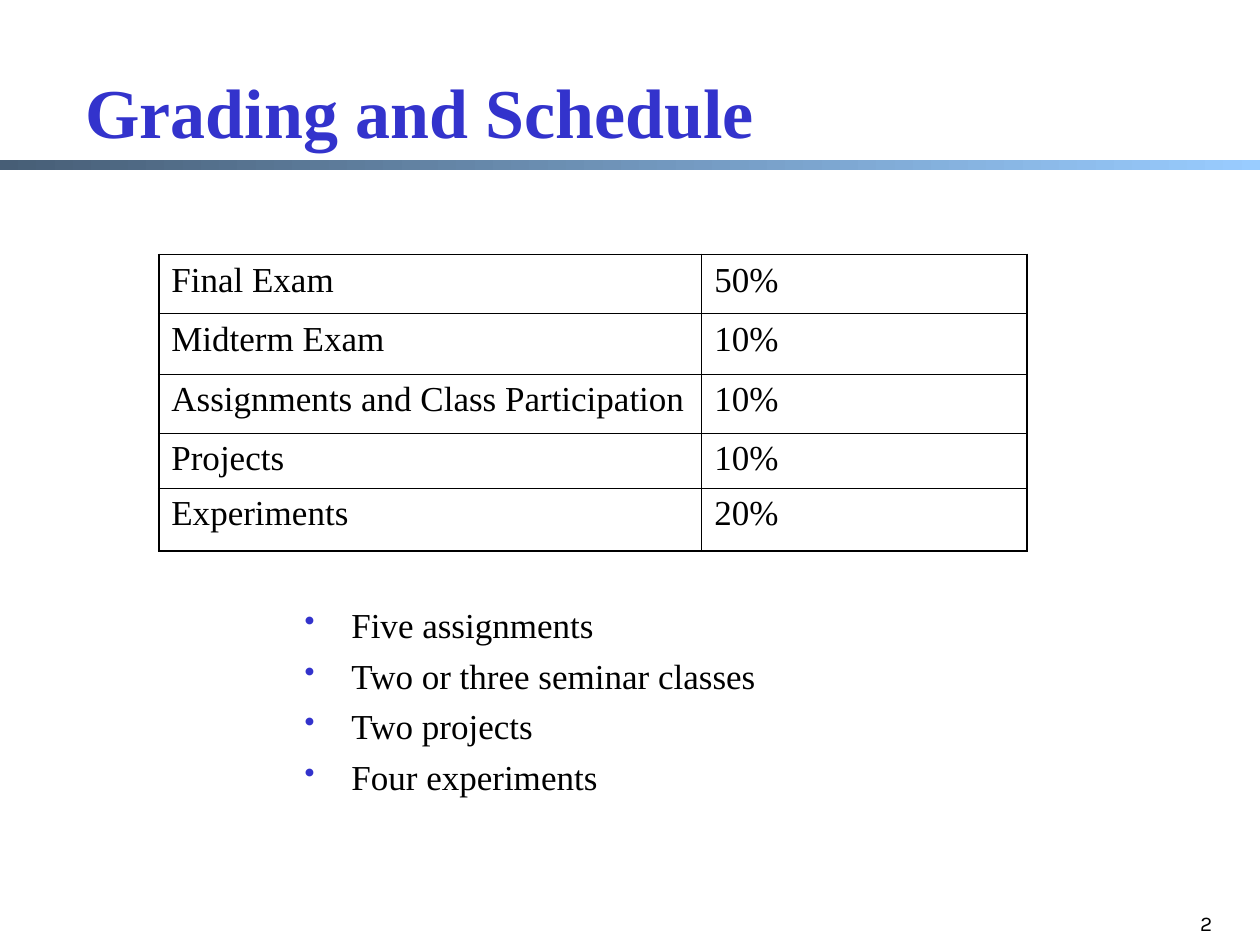
"""Build the grading and schedule slide."""
from lxml import etree
from pptx import Presentation
from pptx.dml.color import RGBColor
from pptx.enum.shapes import MSO_SHAPE
from pptx.enum.text import MSO_ANCHOR, PP_ALIGN
from pptx.oxml.ns import qn
from pptx.util import Inches, Pt

RECTANGLE = MSO_SHAPE.RECTANGLE
MIDDLE, TOP = MSO_ANCHOR.MIDDLE, MSO_ANCHOR.TOP
LEFT, RIGHT = PP_ALIGN.LEFT, PP_ALIGN.RIGHT

TITLE = "Grading and Schedule"
GRADING = [
    ("Final Exam", "50%"),
    ("Midterm Exam", "10%"),
    ("Assignments and Class Participation", "10%"),
    ("Projects", "10%"),
    ("Experiments", "20%"),
]
SCHEDULE = [
    "Five assignments",
    "Two or three seminar classes",
    "Two projects",
    "Four experiments",
]
PAGE_NUMBER = "2"

COLORS = {"accent": "3333CC", "text": "000000", "bar_start": "475E76", "bar_end": "99CCFF"}
SERIF, SANS = "Times New Roman", "Karla"
WIDTH, HEIGHT = 10, 7.5
COLUMN_WIDTHS = [4.31, 2.58]
ROW_HEIGHTS = [0.47, 0.48, 0.47, 0.43, 0.5]
OUTER_LINE, INNER_LINE = 1.08, 0.45
BODY_SIZE, BODY_GAP, BULLET_INDENT = 20, 5, 0.37


def rgb(name):
    return RGBColor.from_string(COLORS[name])


def style(paragraph, size, font=SERIF, color="text", bold=False, align=LEFT, gap=0):
    paragraph.alignment = align
    paragraph.space_before = Pt(gap)
    for run in paragraph.runs:
        run.font.size, run.font.name, run.font.bold = Pt(size), font, bold
        run.font.color.rgb = rgb(color)


def add_text(slide, box, lines, anchor=TOP, **look):
    frame = slide.shapes.add_textbox(*map(Inches, box)).text_frame
    frame.word_wrap = True
    frame.vertical_anchor = anchor
    frame.text = "\n".join(lines)
    for paragraph in frame.paragraphs:
        style(paragraph, **look)
    return frame


def add_bullet(paragraph):
    props = paragraph._p.get_or_add_pPr()
    props.set("marL", str(Inches(BULLET_INDENT)))
    props.set("indent", str(-Inches(BULLET_INDENT)))
    color = etree.SubElement(props, qn("a:buClr"))
    etree.SubElement(color, qn("a:srgbClr"), val=COLORS["accent"])
    etree.SubElement(props, qn("a:buSzPct"), val="85000")
    etree.SubElement(props, qn("a:buChar"), char="•")


def add_border(cell, side, width):
    line = etree.SubElement(cell._tc.get_or_add_tcPr(), qn(f"a:ln{side}"), w=str(Pt(width)))
    fill = etree.SubElement(line, qn("a:solidFill"))
    etree.SubElement(fill, qn("a:srgbClr"), val=COLORS["text"])


def add_grading(slide, left, top):
    rows, columns = len(ROW_HEIGHTS), len(COLUMN_WIDTHS)
    size = sum(COLUMN_WIDTHS), sum(ROW_HEIGHTS)
    table = slide.shapes.add_table(rows, columns, *map(Inches, (left, top, *size))).table
    table.first_row = table.horz_banding = False
    for column, width in zip(table.columns, COLUMN_WIDTHS):
        column.width = Inches(width)
    for row, height in zip(table.rows, ROW_HEIGHTS):
        row.height = Inches(height)
    for r, entry in enumerate(GRADING):
        for c, value in enumerate(entry):
            cell = table.cell(r, c)
            cell.text = value
            style(cell.text_frame.paragraphs[0], BODY_SIZE, gap=BODY_GAP)
            on_edge = {"L": c == 0, "R": c == columns - 1, "T": r == 0, "B": r == rows - 1}
            for side, outer in on_edge.items():
                add_border(cell, side, OUTER_LINE if outer else INNER_LINE)
            cell.fill.background()


def add_bar(slide, top, height):
    bar = slide.shapes.add_shape(RECTANGLE, 0, Inches(top), Inches(WIDTH), Inches(height))
    bar.shadow.inherit = False
    bar.line.fill.background()
    bar.fill.gradient()
    bar.fill.gradient_angle = 0
    for stop, color in zip(bar.fill.gradient_stops, ("bar_start", "bar_end")):
        stop.color.rgb = rgb(color)


def main():
    deck = Presentation()
    deck.slide_width, deck.slide_height = Inches(WIDTH), Inches(HEIGHT)
    slide = deck.slides.add_slide(deck.slide_layouts[6])
    add_bar(slide, 1.27, 0.08)
    add_text(slide, (0.58, 0.25, 8.78, 1.25), [TITLE], MIDDLE, size=40, color="accent", bold=True)
    schedule = add_text(slide, (2.32, 4.74, 3.87, 1.66), SCHEDULE, size=BODY_SIZE, gap=BODY_GAP)
    for paragraph in schedule.paragraphs:
        add_bullet(paragraph)
    add_text(slide, (9.25, 7.18, 0.47, 0.32), [PAGE_NUMBER], size=12, font=SANS, align=RIGHT)
    add_grading(slide, 1.26, 2.02)
    deck.save("out.pptx")


if __name__ == "__main__":
    main()
